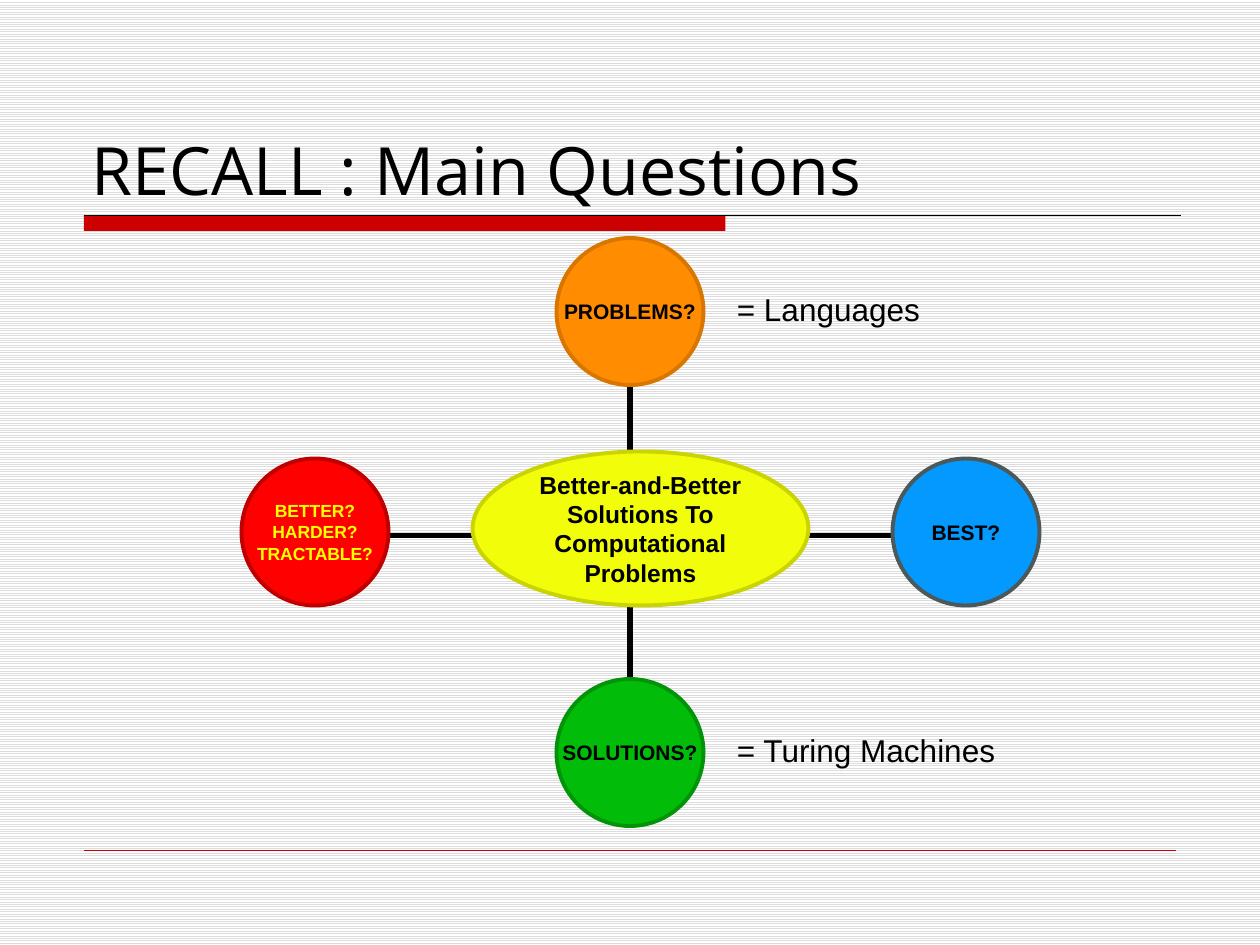
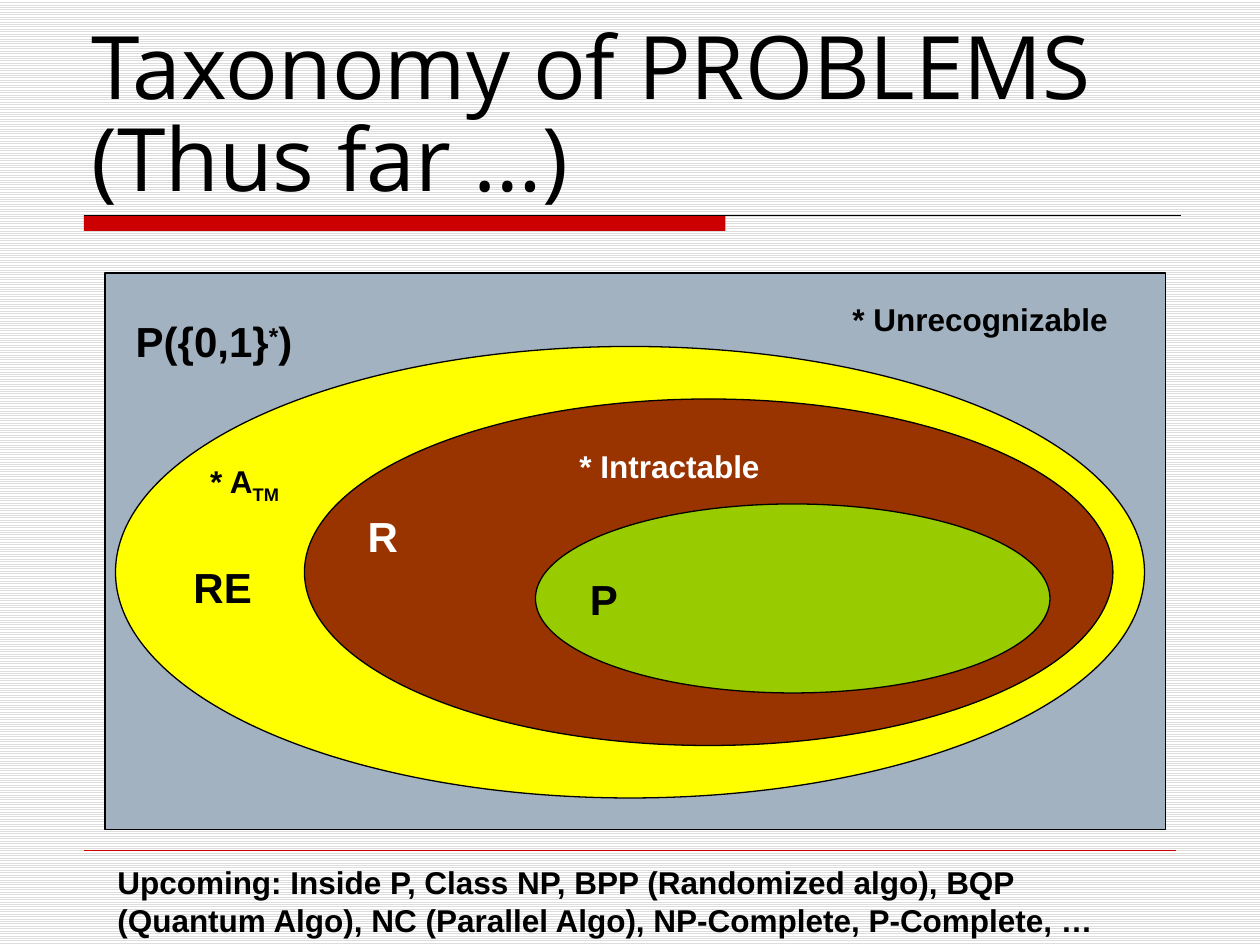
"""Build two slides on computational problems: a question map and a nested taxonomy."""
from dataclasses import dataclass

from lxml import etree
from pptx import Presentation
from pptx.dml.color import RGBColor
from pptx.enum import dml, shapes, text
from pptx.oxml import ns
from pptx.util import Pt

BODY_FONT, TITLE_FONT = "Arial", "Open Sans"
BLACK, WHITE, YELLOW, RED = "000000", "FFFFFF", "FFFF00", "CC0000"
BAND_LEFT, BAND_TOP = 48, 123
OVAL, RECT = shapes.MSO_SHAPE.OVAL, shapes.MSO_SHAPE.RECTANGLE
DIAMETER = 84


@dataclass
class Bubble:
    x: float
    y: float
    label: str
    fill: str
    line: str
    color: str = BLACK
    size: float = 12
    width: float = DIAMETER
    height: float = DIAMETER
    wrap: bool = False


@dataclass
class Region:
    left: float
    top: float
    width: float
    height: float
    fill: str
    kind: int = OVAL


@dataclass
class Label:
    left: float
    top: float
    width: float
    runs: list[tuple[str, int]]
    size: float = 24
    color: str = BLACK
    bold: bool = True
    wrap: bool = True
    height: float = 36


def rgb(value: str) -> RGBColor:
    return RGBColor.from_string(value)


def style(r, size: float, color: str, bold: bool = False, name: str = BODY_FONT) -> None:
    r.font.size, r.font.bold, r.font.name = Pt(size), bold, name
    r.font.color.rgb = rgb(color)


def add_line(s, x1: float, y1: float, x2: float, y2: float, color: str, weight: float) -> None:
    c = s.shapes.add_connector(shapes.MSO_CONNECTOR.STRAIGHT, Pt(x1), Pt(y1), Pt(x2), Pt(y2))
    c.line.color.rgb, c.line.width = rgb(color), Pt(weight)
    etree.SubElement(c._element.spPr, ns.qn("a:effectLst"))


def add_outline(s, kind: int, left: float, top: float, width: float, height: float,
                fill: str, line: str | None, weight: float = 0.75):
    sp = s.shapes.add_shape(kind, Pt(left), Pt(top), Pt(width), Pt(height))
    sp.shadow.inherit = False
    sp.fill.solid()
    sp.fill.fore_color.rgb = rgb(fill)
    if line:
        sp.line.color.rgb, sp.line.width = rgb(line), Pt(weight)
    else:
        sp.line.fill.background()
    return sp


def add_bubble(s, b: Bubble) -> None:
    sp = add_outline(s, OVAL, b.x - b.width / 2, b.y - b.height / 2,
                     b.width, b.height, b.fill, b.line, 2.25)
    tf = sp.text_frame
    tf.margin_left = tf.margin_right = tf.margin_top = tf.margin_bottom = 0
    tf.word_wrap, tf.vertical_anchor = b.wrap, text.MSO_ANCHOR.MIDDLE
    tf.text = b.label
    for p in tf.paragraphs:
        p.alignment = text.PP_ALIGN.CENTER
        style(p.runs[0], b.size, b.color, True)


def add_label(s, b: Label) -> None:
    tf = s.shapes.add_textbox(Pt(b.left), Pt(b.top), Pt(b.width), Pt(b.height)).text_frame
    tf.word_wrap, tf.auto_size = b.wrap, text.MSO_AUTO_SIZE.SHAPE_TO_FIT_TEXT
    for words, baseline in b.runs:
        r = tf.paragraphs[0].add_run()
        r.text = words
        style(r, b.size, b.color, b.bold)
        if baseline:
            r._r.get_or_add_rPr().set("baseline", str(baseline * 1000))


def add_slide(prs, title: str, size: float, width: float):
    s = prs.slides.add_slide(prs.slide_layouts.get_by_name("Title Only"))
    add_outline(s, RECT, BAND_LEFT, BAND_TOP, 366.5, 9, RED, None)
    add_line(s, BAND_LEFT, BAND_TOP, 675, BAND_TOP, BLACK, 0.75)
    add_line(s, BAND_LEFT, 486, 672, 486, RED, 0.25)
    sp = s.shapes.title
    sp.left, sp.top, sp.width, sp.height = Pt(45), Pt(24), Pt(width), Pt(96)
    tf = sp.text_frame
    tf.text = title
    tf.word_wrap, tf.auto_size = True, text.MSO_AUTO_SIZE.NONE
    tf.vertical_anchor, tf.margin_bottom = text.MSO_ANCHOR.BOTTOM, 0
    p = tf.paragraphs[0]
    p.alignment, p.line_spacing = text.PP_ALIGN.LEFT, 0.88
    for r in p.runs:
        style(r, size, BLACK, name=TITLE_FONT)
    return s


def set_background(prs) -> None:
    fill = prs.slide_master.background.fill
    fill.patterned()
    fill.pattern = dml.MSO_PATTERN.LIGHT_HORIZONTAL
    fill.fore_color.rgb, fill.back_color.rgb = rgb("DDDDDD"), rgb(WHITE)


def build_questions(prs) -> None:
    s = add_slide(prs, "RECALL : Main Questions", 38, 630)
    for spoke in ((270, 306, 222, 306), (360, 346, 360, 388),
                  (462, 306, 510, 306), (360, 262, 360, 220)):
        add_line(s, *spoke, BLACK, 3)
    for bubble in (
        Bubble(180, 304, "BETTER?\nHARDER?\nTRACTABLE?", "FF0000", "BE0000", YELLOW, 10),
        Bubble(360, 430, "SOLUTIONS?", "01BD0A", "019308"),
        Bubble(552, 304, "BEST?", "0399FF", "4B595B"),
        Bubble(360, 178, "PROBLEMS?", "FF8C01", "D87600"),
        Bubble(366, 302, "Better-and-Better Solutions To Computational Problems",
               "F1FD09", "CAD402", size=14, width=192, height=88, wrap=True),
    ):
        add_bubble(s, bubble)
    add_label(s, Label(414, 414, 174, [("= Turing Machines", 0)], 18, bold=False, height=29))
    add_label(s, Label(414, 162, 119, [("= Languages", 0)], 18, bold=False, wrap=False, height=29))


def build_taxonomy(prs) -> None:
    s = add_slide(prs, "Taxonomy of PROBLEMS\v(Thus far …) ", 50, 651)
    for region in (
        Region(60, 156, 606, 318, "A3B2C1", RECT),
        Region(66, 198, 588, 258, YELLOW),
        Region(174, 228, 462, 198, "993300"),
        Region(306, 288, 294, 108, "99CC00"),
    ):
        add_outline(s, region.kind, region.left, region.top, region.width, region.height,
                    region.fill, BLACK)
    for label in (
        Label(70.5, 177, 105, [("P({0,1}", 0), ("*", 30), (")", 0)], wrap=False),
        Label(103.5, 317.5, 58, [("RE", 0)]),
        Label(203, 288, 61, [("R", 0)], color=WHITE),
        Label(330, 324, 56, [("P", 0)]),
        Label(480, 168, 174, [("* Unrecognizable", 0)], 18, height=29),
        Label(113, 260.5, 57, [("* A", 0), ("TM", -25)], 18, wrap=False, height=29),
        Label(324, 252, 174, [("* Intractable", 0)], 18, WHITE, height=29),
        Label(60, 489.5, 604, [("Upcoming: Inside P, Class NP, BPP (Randomized algo), BQP "
                                "(Quantum Algo), NC (Parallel Algo), NP-Complete, "
                                "P-Complete, …", 0)], 18, height=50),
    ):
        add_label(s, label)


def main() -> None:
    prs = Presentation()
    prs.slide_width, prs.slide_height = Pt(720), Pt(540)
    set_background(prs)
    build_questions(prs)
    build_taxonomy(prs)
    prs.save("out.pptx")


main()
